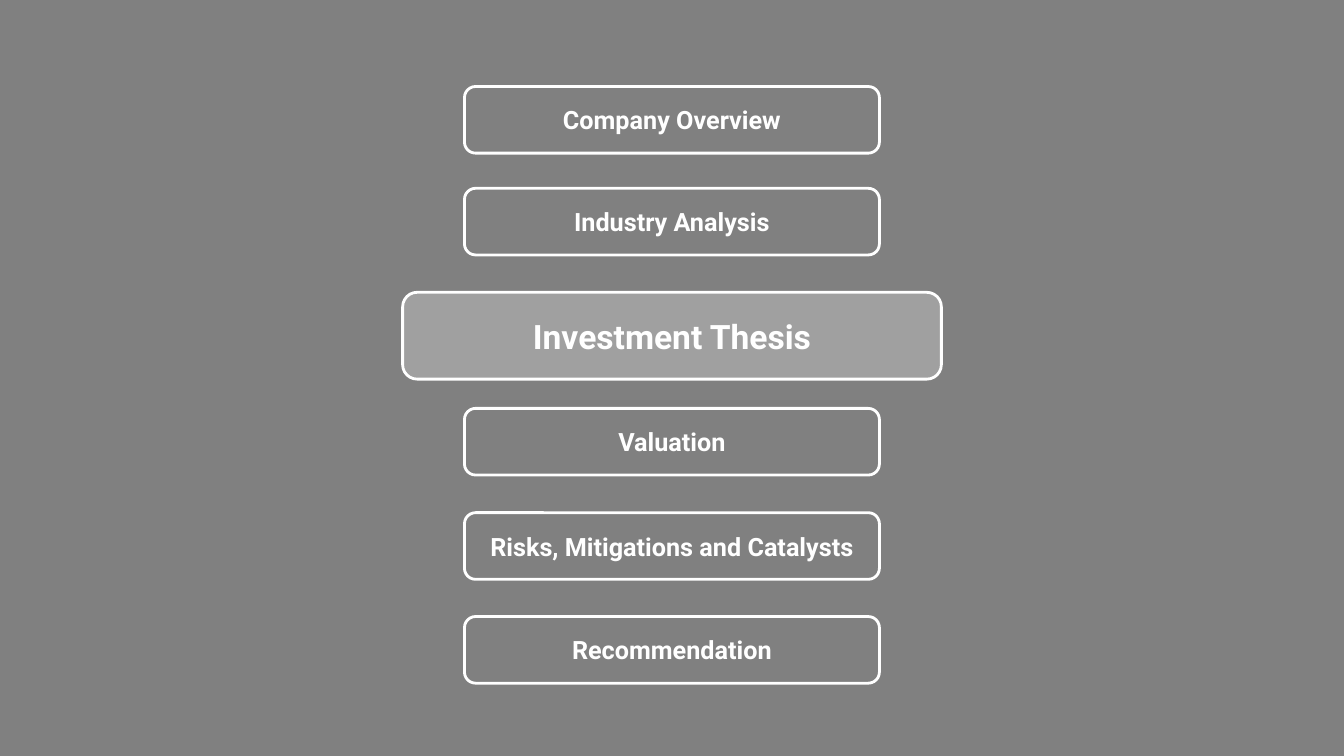
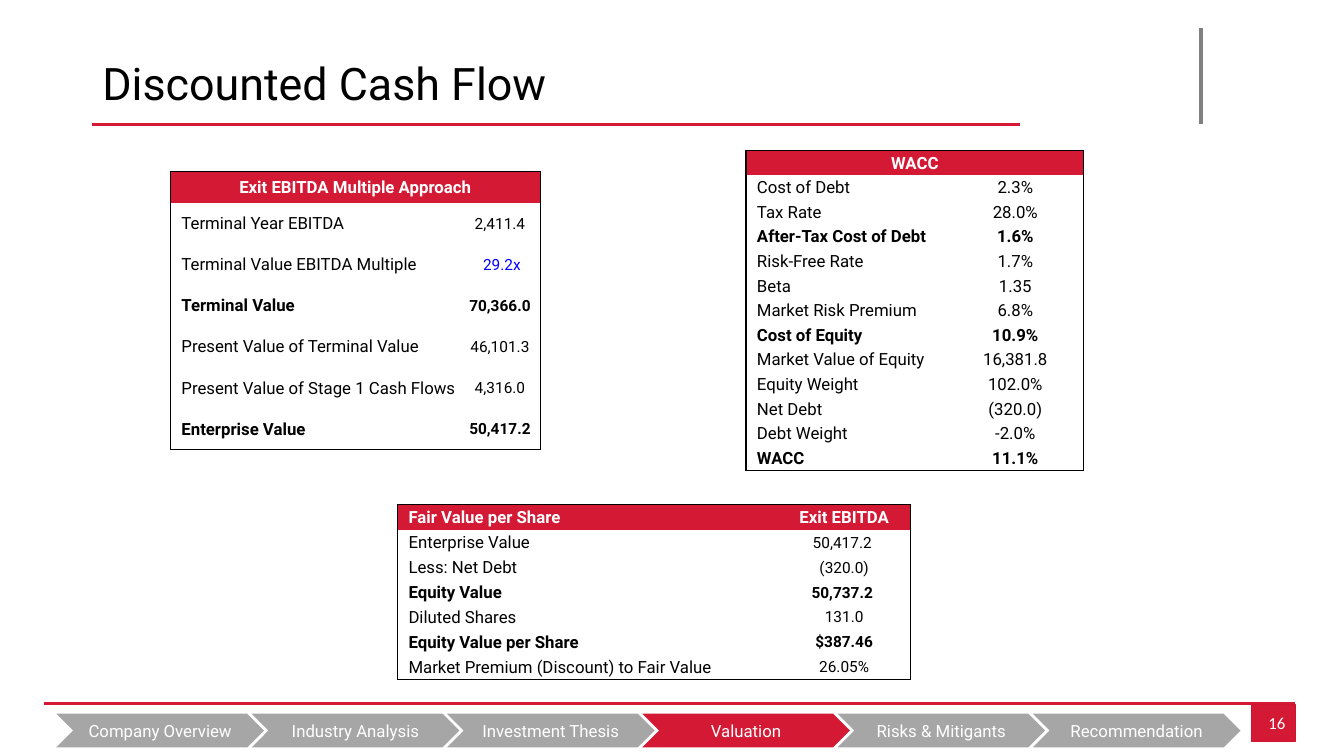
import pptx
import pptx.util
import pptx.dml.color
import pptx.enum.shapes
import pptx.enum.text
import pptx.oxml
import pptx.oxml.ns

Pt = pptx.util.Pt
KIND = pptx.enum.shapes.MSO_SHAPE
ALIGN = pptx.enum.text.PP_ALIGN
MID = pptx.enum.text.MSO_ANCHOR.MIDDLE

# Shared look
RED, EDGE, GREY, PALE = "D41935", "D31334", "808080", "A6A6A6"
WHITE, BLACK, BLUE = "FFFFFF", "000000", "0000FF"
FONT = "Roboto"
WIDE, HIGH = 960, 540
PLAIN = "{2D5ABB26-0587-4C30-8999-92F81FD0307C}"  # no style, no grid


def color(code):
    return pptx.dml.color.RGBColor.from_string(code)


def make(tag, **attrs):
    node = pptx.oxml.parse_xml(f"<a:{tag} {pptx.oxml.ns.nsdecls('a')}/>")
    for name, value in attrs.items():
        node.set(name, str(value))
    return node


def write(frame, text, size, ink=WHITE, bold=False, align=ALIGN.CENTER, font=FONT):
    para = frame.paragraphs[0]
    para.text = text
    para.alignment = align
    for run in para.runs:
        run.font.size = Pt(size)
        run.font.name = font
        run.font.bold = bold
        run.font.color.rgb = color(ink)
    return para


def draw(slide, kind, box, fill=None, line=None, width=1):
    shape = slide.shapes.add_shape(kind, *map(Pt, box))
    shape.shadow.inherit = False
    if fill:
        shape.fill.solid()
        shape.fill.fore_color.rgb = color(fill)
    else:
        shape.fill.background()
    if line:
        shape.line.color.rgb = color(line)
        shape.line.width = Pt(width)
    else:
        shape.line.fill.background()
    shape.text_frame.word_wrap = True
    shape.text_frame.vertical_anchor = MID
    return shape


def rule(slide, start, end, ink, width):
    kind = pptx.enum.shapes.MSO_CONNECTOR.STRAIGHT
    line = slide.shapes.add_connector(kind, *map(Pt, start + end))
    line.line.color.rgb = color(ink)
    line.line.width = Pt(width)
    line._element.spPr.append(make("effectLst"))


# Section list with one large, lit entry
def agenda(slide, box, items, lit):
    left, top, wide, high = box
    for num, (name, down) in enumerate(items):
        live = num == lit
        inset = 0 if live else 44.2
        tall = 62 if live else 47.6
        area = (left + inset, top + down, wide - 2 * inset, tall)
        shape = draw(slide, KIND.ROUNDED_RECTANGLE, area,
                     WHITE if live else None, WHITE, 2)
        if live:
            tint = shape._element.spPr.find(".//" + pptx.oxml.ns.qn("a:srgbClr"))
            tint.append(make("alpha", val=26000))
        write(shape.text_frame, name, 24 if live else 18, bold=True)


# Title with its rules
def header(slide, box, text):
    left, top, wide, high = box
    rule(slide, (left + 792, top - 0.9), (left + 792, top + 67.5), GREY, 3)
    rule(slide, (left + 662.4, top + 68.2), (left, top + 68.2), RED, 2.25)
    frame = slide.shapes.add_textbox(*map(Pt, box)).text_frame
    frame.word_wrap = True
    frame.vertical_anchor = MID
    write(frame, text, 32, BLACK, align=ALIGN.LEFT).line_spacing = 0.9


# Bottom rule, page number and section chevrons
def footer(slide, box, page, names, lit):
    left, top, wide, high = box
    rule(slide, (left + wide, top), (left, top), RED, 2.25)
    tab = draw(slide, KIND.RECTANGLE, (left + wide - 31, top + 1, 31, 26.4),
               RED, EDGE, 0.75)
    write(tab.text_frame, page, 12, align=ALIGN.RIGHT, font="Calibri")
    for num, name in enumerate(names):
        area = (left + 8.6 + num * 139.5, top + 7.4, 148.3, 24)
        step = draw(slide, KIND.CHEVRON, area, RED if num == lit else PALE)
        write(step.text_frame, name, 12)


def border(cell, sides):
    props = cell._tc.get_or_add_tcPr()
    for spot, side in enumerate(s for s in "LRTB" if s in sides):
        line = make("ln" + side, w=Pt(1))
        fill = make("solidFill")
        fill.append(make("srgbClr", val=BLACK))
        line.append(fill)
        props.insert(spot, line)


# Two-column table with a red head and an outer frame
def ledger(slide, box, cols, head, rows, strong, size, top_row=None, blue=()):
    data = [head] + rows
    top_row = top_row or box[3] / len(data)
    row_high = (box[3] - top_row) / len(rows)
    table = slide.shapes.add_table(len(data), 2, *map(Pt, box)).table
    table.first_row = table.horz_banding = False
    table._tbl.tblPr.find(pptx.oxml.ns.qn("a:tableStyleId")).text = PLAIN
    for col, wide in zip(table.columns, cols):
        col.width = Pt(wide)
    span = len(head) == 1
    if span:
        table.cell(0, 0).merge(table.cell(0, 1))
    for r, line in enumerate(data):
        table.rows[r].height = Pt(row_high if r else top_row)
        for c in range(2):
            cell = table.cell(r, c)
            cell.margin_left = cell.margin_right = cell.margin_top = Pt(0.72)
            cell.margin_bottom = 0
            cell.vertical_anchor = MID
            if r:
                cell.fill.background()
            else:
                cell.fill.solid()
                cell.fill.fore_color.rgb = color(RED)
            sides = "R" if c or (span and r == 0) else ""
            sides += "" if c else "L"
            sides += "T" if r == 0 else "B" if r == len(rows) else ""
            border(cell, sides)
            if c >= len(line):
                continue
            ink = WHITE if r == 0 else BLUE if c and r in blue else BLACK
            label = c == 0 and len(line) == 2
            para = write(cell.text_frame, line[c], size if r and c else 12, ink,
                         r == 0 or r in strong,
                         ALIGN.LEFT if label else ALIGN.CENTER)
            if label:
                props = para._p.get_or_add_pPr()
                props.set("marL", str(Pt(7.2)))
                props.set("indent", "0")


TOPICS = [("Company Overview", 0), ("Industry Analysis", 72.7),
          ("Investment Thesis", 147), ("Valuation", 229.9),
          ("Risks, Mitigations and Catalysts", 304.4), ("Recommendation", 378.6)]
STEPS = ["Company Overview", "Industry Analysis", "Investment Thesis",
         "Valuation", "Risks & Mitigants", "Recommendation"]
EXIT = [("Terminal Year EBITDA", "2,411.4 "),
        ("Terminal Value EBITDA Multiple", "29.2x"),
        ("Terminal Value", "70,366.0 "),
        ("Present Value of Terminal Value", "46,101.3 "),
        ("Present Value of Stage 1 Cash Flows", "4,316.0 "),
        ("Enterprise Value", "50,417.2 ")]
WACC = [("Cost of Debt", "2.3%"), ("Tax Rate", "28.0%"),
        ("After-Tax Cost of Debt", "1.6%"), ("Risk-Free Rate", "1.7%"),
        ("Beta", "1.35"), ("Market Risk Premium", "6.8%"),
        ("Cost of Equity", "10.9%"), ("Market Value of Equity", "16,381.8"),
        ("Equity Weight", "102.0%"), ("Net Debt", "(320.0)"),
        ("Debt Weight", "-2.0%"), ("WACC", "11.1%")]
SHARE = [("Enterprise Value", "50,417.2 "), ("Less: Net Debt", "(320.0)"),
         ("Equity Value", "50,737.2 "), ("Diluted Shares", "131.0"),
         ("Equity Value per Share", " $387.46 "),
         ("Market Premium (Discount) to Fair Value", "26.05%")]


def main():
    deck = pptx.Presentation()
    deck.slide_width, deck.slide_height = Pt(WIDE), Pt(HIGH)
    blank = deck.slide_layouts[6]

    # Section divider
    slide = deck.slides.add_slide(blank)
    draw(slide, KIND.RECTANGLE, (0, 0, WIDE, HIGH), GREY, GREY)
    agenda(slide, (287.6, 61.8, 384.8, 426.2), TOPICS, 2)

    # Cash flow tables
    slide = deck.slides.add_slide(blank)
    header(slide, (66, 21, 679, 81.2), "Discounted Cash Flow")
    ledger(slide, (121.7, 122.4, 264.2, 198.7), (209.5, 54.7),
           ("Exit EBITDA Multiple Approach",), EXIT, {3, 6}, 11, 22.4, {2})
    ledger(slide, (532.8, 107.5, 241.4, 228.8), (143.5, 97.9),
           ("WACC",), WACC, {3, 7, 12}, 12)
    ledger(slide, (283.9, 360.6, 366.5, 125), (271.8, 94.7),
           ("Fair Value per Share", "Exit EBITDA"), SHARE, {3, 5}, 11)
    footer(slide, (31.7, 502.4, 893.5, 31.4), "16", STEPS, 3)

    deck.save("out.pptx")


if __name__ == "__main__":
    main()
